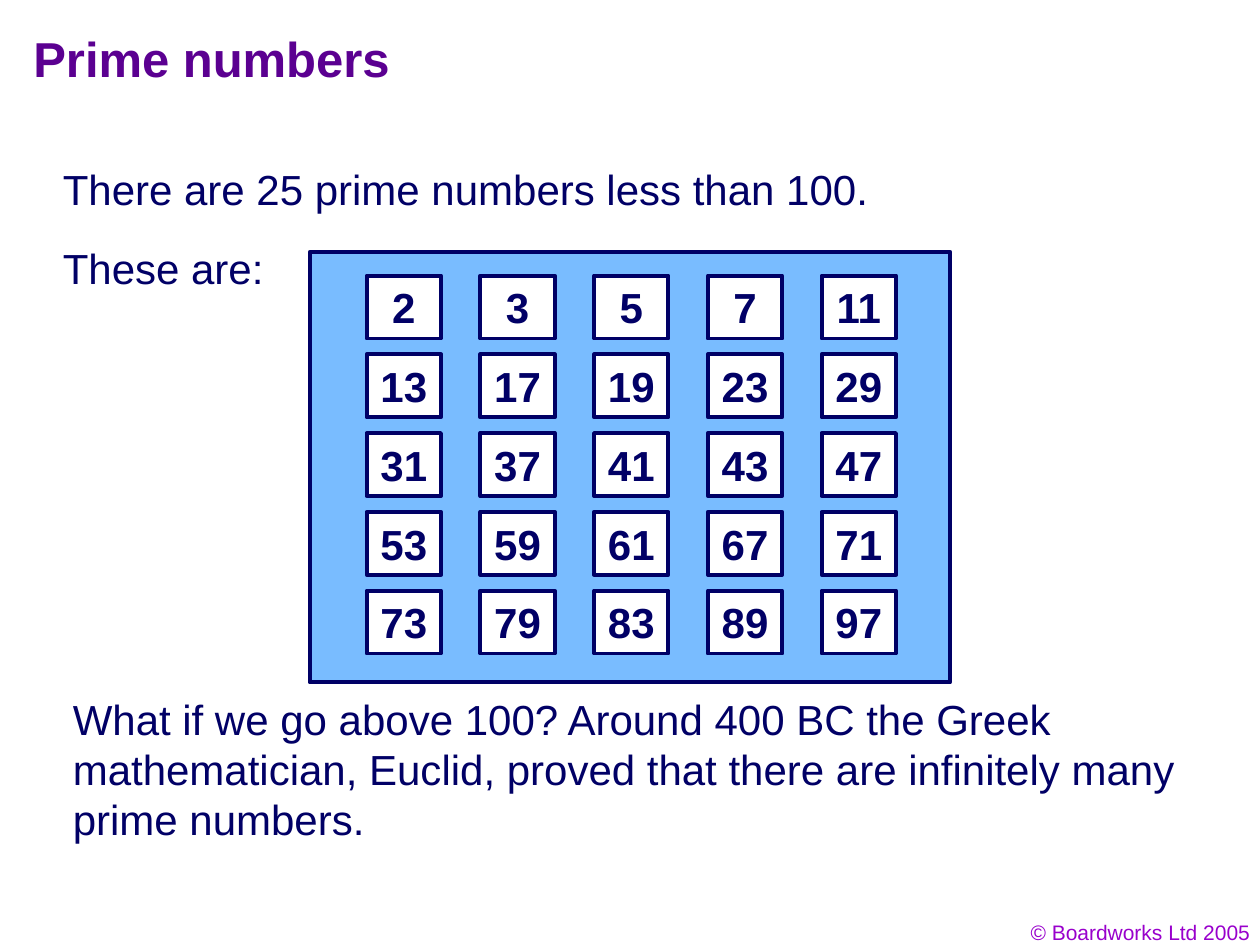
from pptx import Presentation as Deck
from pptx.dml.color import RGBColor as Rgb
from pptx.enum.shapes import MSO_SHAPE as Kind
from pptx.enum.text import MSO_ANCHOR as Anchor, PP_ALIGN as Align
from pptx.util import Pt

NAVY = Rgb(0x00, 0x00, 0x66)
INK = Rgb(0x01, 0x00, 0x66)
PURPLE = Rgb(0x5B, 0x00, 0x91)
VIOLET = Rgb(0x99, 0x00, 0xCC)
BLUE = Rgb(0x79, 0xBC, 0xFF)
WHITE = Rgb(0xFF, 0xFF, 0xFF)

PRIMES = [
    [2, 3, 5, 7, 11],
    [13, 17, 19, 23, 29],
    [31, 37, 41, 43, 47],
    [53, 59, 61, 67, 71],
    [73, 79, 83, 89, 97],
]


def write(shape, text, size=24, color=INK, bold=False, align=Align.LEFT,
          anchor=Anchor.TOP, wrap=True):
    frame = shape.text_frame
    frame.word_wrap = wrap
    frame.vertical_anchor = anchor
    par = frame.paragraphs[0]
    par.alignment = align
    par.line_spacing = Pt(size * 1.2)
    run = par.add_run()
    run.text = text
    font = run.font
    font.name = "Arial"
    font.size = Pt(size)
    font.bold = bold
    font.color.rgb = color


def label(slide, text, left, top, width, height, **style):
    box = slide.shapes.add_textbox(Pt(left), Pt(top), Pt(width), Pt(height))
    write(box, text, **style)


def panel(slide, left, top, width, height, fill):
    rect = slide.shapes.add_shape(
        Kind.RECTANGLE, Pt(left), Pt(top), Pt(width), Pt(height))
    rect.shadow.inherit = False
    rect.fill.solid()
    rect.fill.fore_color.rgb = fill
    rect.line.color.rgb = NAVY
    rect.line.width = Pt(2.25)
    return rect


def grid(slide, left, top, step, drop):
    for row, line in enumerate(PRIMES):
        for col, prime in enumerate(line):
            tile = panel(slide, left + col * step, top + row * drop,
                         42.5, 36, WHITE)
            write(tile, str(prime), bold=True, align=Align.CENTER,
                  anchor=Anchor.MIDDLE, wrap=False)


def main():
    deck = Deck()
    deck.slide_width = Pt(720)
    deck.slide_height = Pt(540)
    slide = deck.slides.add_slide(deck.slide_layouts[6])

    label(slide, "© Boardworks Ltd 2005", 554, 522, 167.5, 21.6,
          size=12, color=VIOLET, align=Align.RIGHT)
    panel(slide, 177, 144, 366, 246, BLUE)
    label(slide, "Prime numbers", 12, 12, 270, 42, size=28, color=PURPLE,
          bold=True, anchor=Anchor.MIDDLE)
    label(slide, "There are 25 prime numbers less than 100.",
          28.8, 90, 655, 36)
    label(slide, "These are:", 28.8, 135, 129, 36, wrap=False)
    grid(slide, 209.5, 157.5, 65, 45)
    label(slide, "What if we go above 100? Around 400 BC the Greek "
          "mathematician, Euclid, proved that there are infinitely many "
          "prime numbers.", 34.5, 392.5, 655, 93.6)

    deck.save("out.pptx")


if __name__ == "__main__":
    main()
